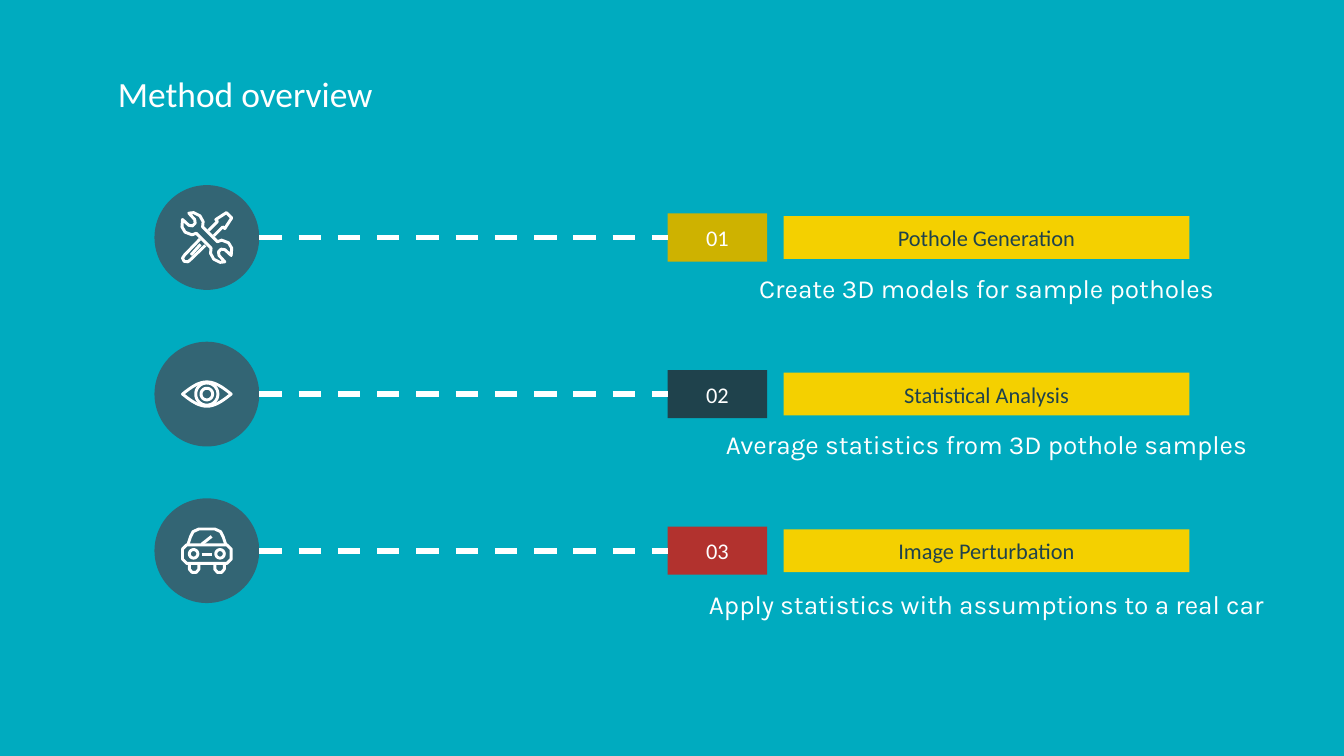
from math import cos, pi, sin

from lxml import etree
from pptx import Presentation
from pptx.dml.color import RGBColor
from pptx.enum import dml, shapes, text
from pptx.oxml.ns import qn
from pptx.util import Cm, Pt

HUES = {
    "sea": "00ABBF", "white": "FFFFFF", "yellow": "F4D000", "gold": "CEB200",
    "navy": "1F424C", "red": "B2322E", "slate": "336574",
}
TITLE = "Method overview"
STEPS = [
    ("01", "gold", "Pothole Generation", "Create 3D models for sample potholes", 9.58, 0.95, "tools"),
    ("02", "navy", "Statistical Analysis", "Average statistics from 3D pothole samples", 10.95, 0.95, "eye"),
    ("03", "red", "Image Perturbation", "Apply statistics with assumptions to a real car", 11.25, 1, "car"),
]
FIRST, PITCH = 4.49, 2.96
DISC_X, DISC = 3.91, 1.98
BADGE_X, BADGE_W, BADGE_H = 12.62, 1.88, 0.91
BAR_X, BAR_W, BAR_H = 14.81, 7.67, 0.81
NOTE_X, NOTE_H = 18.65, 0.91


def ring(x, y, r):
    turns = [2 * pi * n / 32 for n in range(32)]
    return [(x + r * cos(a), y + r * sin(a)) for a in turns], True


def flip(points):
    return [(-x, y) for x, y in points]


def spin(points):
    return [(-x, -y) for x, y in points]


JAW = [
    (-0.34, -0.46), (-0.25, -0.47), (-0.13, -0.41), (-0.07, -0.3), (-0.08, -0.2),
    (0.2, 0.08), (0.28, 0.05), (0.41, 0.1), (0.47, 0.2), (0.46, 0.34),
    (0.34, 0.23), (0.27, 0.22), (0.22, 0.27), (0.23, 0.34),
]
BLADE = [
    (0.03, -0.13), (0.2, -0.3), (0.17, -0.34), (0.37, -0.47),
    (0.47, -0.37), (0.34, -0.17), (0.3, -0.2), (0.13, -0.03),
]
GRIP = [
    (-0.13, 0.03), (-0.42, 0.33), (-0.46, 0.39), (-0.43, 0.45),
    (-0.36, 0.46), (-0.31, 0.42), (-0.03, 0.15),
]
LID = [(0.46 * n / 10, -0.23 * cos(pi * n / 20)) for n in range(-10, 10)]
ROOF = [(-0.36, -0.11), (-0.31, -0.26), (-0.26, -0.36), (-0.15, -0.41)]
SIDE = [(-0.38, -0.11), (-0.46, -0.03), (-0.46, 0.16), (-0.38, 0.24)]
WHEEL = [(-0.33, 0.24), (-0.33, 0.35), (-0.28, 0.41), (-0.2, 0.41), (-0.15, 0.35), (-0.15, 0.24)]
ICONS = {
    "tools": [
        (JAW + spin(JAW), True), (BLADE, False), (GRIP, False),
        ([(-0.3, 0.33), (-0.12, 0.13)], False),
    ],
    "eye": [(LID + spin(LID), True), ring(0, 0, 0.21), ring(0, 0, 0.11)],
    "car": [
        (ROOF + flip(ROOF)[::-1], False), (SIDE + flip(SIDE)[::-1], True),
        (WHEEL, False), (flip(WHEEL), False),
        ring(-0.25, 0.06, 0.08), ring(0.25, 0.06, 0.08),
        ([(-0.1, 0.07), (0.1, 0.07)], False), ([(-0.1, -0.12), (0.09, -0.27)], False),
    ],
}


def rgb(hue):
    return RGBColor.from_string(HUES[hue])


def write(shape, words, size, hue, font="Calibri", align=text.PP_ALIGN.CENTER,
          anchor=text.MSO_ANCHOR.MIDDLE):
    frame = shape.text_frame
    frame.text = words
    frame.word_wrap = True
    frame.auto_size = text.MSO_AUTO_SIZE.NONE
    frame.vertical_anchor = anchor
    frame.margin_left = frame.margin_right = Cm(0.25)
    frame.margin_top = frame.margin_bottom = Cm(0.25)
    para = frame.paragraphs[0]
    para.alignment = align
    face = para.runs[0].font
    face.name, face.size = font, Pt(size)
    face.color.rgb = rgb(hue)


def block(slide, kind, x, y, w, h, hue):
    shape = slide.shapes.add_shape(kind, Cm(x), Cm(y - h / 2), Cm(w), Cm(h))
    shape.shadow.inherit = False
    shape.fill.solid()
    shape.fill.fore_color.rgb = rgb(hue)
    shape.line.fill.background()
    return shape


def dash(slide, x, end, y):
    line = slide.shapes.add_connector(
        shapes.MSO_CONNECTOR.STRAIGHT, Cm(x), Cm(y), Cm(end), Cm(y))
    line.line.color.rgb = rgb("white")
    line.line.width = Pt(3)
    line.line.dash_style = dml.MSO_LINE.DASH
    etree.SubElement(line._element.spPr, qn("a:effectLst"))


def draw(slide, icon, x, y):
    pen = None
    for points, closed in ICONS[icon]:
        spots = [(Cm(x + a), Cm(y + b)) for a, b in points]
        if pen is None:
            pen = slide.shapes.build_freeform(*spots[0])
        else:
            pen.move_to(*spots[0])
        pen.add_line_segments(spots[1:], close=closed)
    shape = pen.convert_to_shape()
    shape.shadow.inherit = False
    shape.fill.background()
    shape.line.color.rgb = rgb("white")
    shape.line.width = Pt(1.6)


def main():
    deck = Presentation()
    deck.slide_width, deck.slide_height = Cm(25.4), Cm(14.29)
    slide = deck.slides.add_slide(deck.slide_layouts[5])
    back = slide.background.fill
    back.solid()
    back.fore_color.rgb = rgb("sea")

    title = slide.shapes.title
    title.left, title.top, title.width, title.height = Cm(1.98), Cm(1.12), Cm(21.44), Cm(1.6)
    write(title, TITLE, 19, "white", align=text.PP_ALIGN.LEFT, anchor=text.MSO_ANCHOR.TOP)

    rect, oval = shapes.MSO_SHAPE.RECTANGLE, shapes.MSO_SHAPE.OVAL
    for row, (num, hue, name, note, width, drop, icon) in enumerate(STEPS):
        y = FIRST + row * PITCH
        bar = block(slide, rect, BAR_X, y, BAR_W, BAR_H, "yellow")
        write(bar, name, 12, "navy")
        box = slide.shapes.add_textbox(
            Cm(NOTE_X - width / 2), Cm(y + drop - NOTE_H / 2), Cm(width), Cm(NOTE_H))
        write(box, note, 14, "white", "Karla")
        badge = block(slide, rect, BADGE_X, y, BADGE_W, BADGE_H, hue)
        write(badge, num, 12, "white")
        block(slide, oval, DISC_X - DISC / 2, y, DISC, DISC, "slate")
        dash(slide, DISC_X + DISC / 2, BADGE_X, y)
        draw(slide, icon, DISC_X, y)

    deck.save("out.pptx")


if __name__ == "__main__":
    main()
